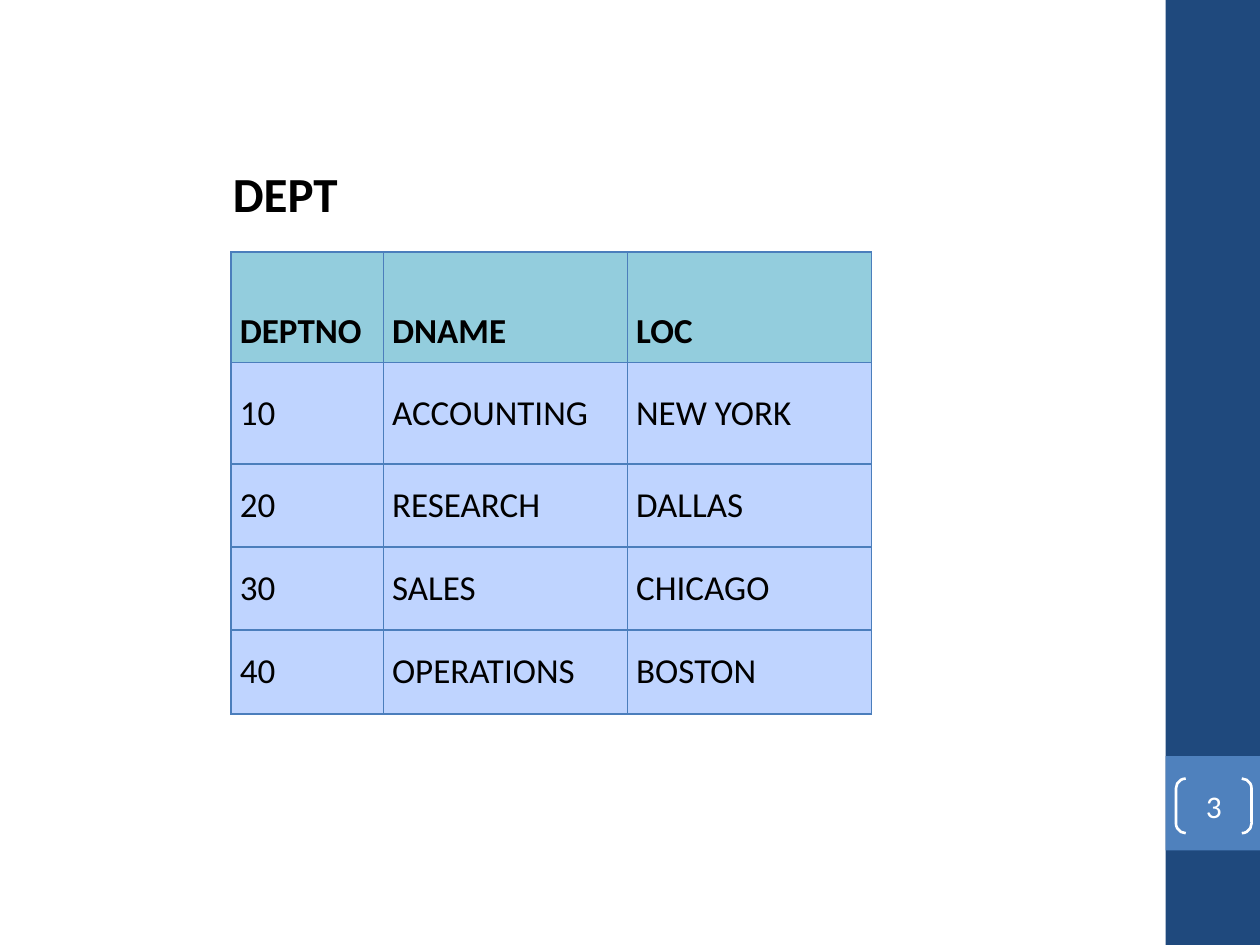
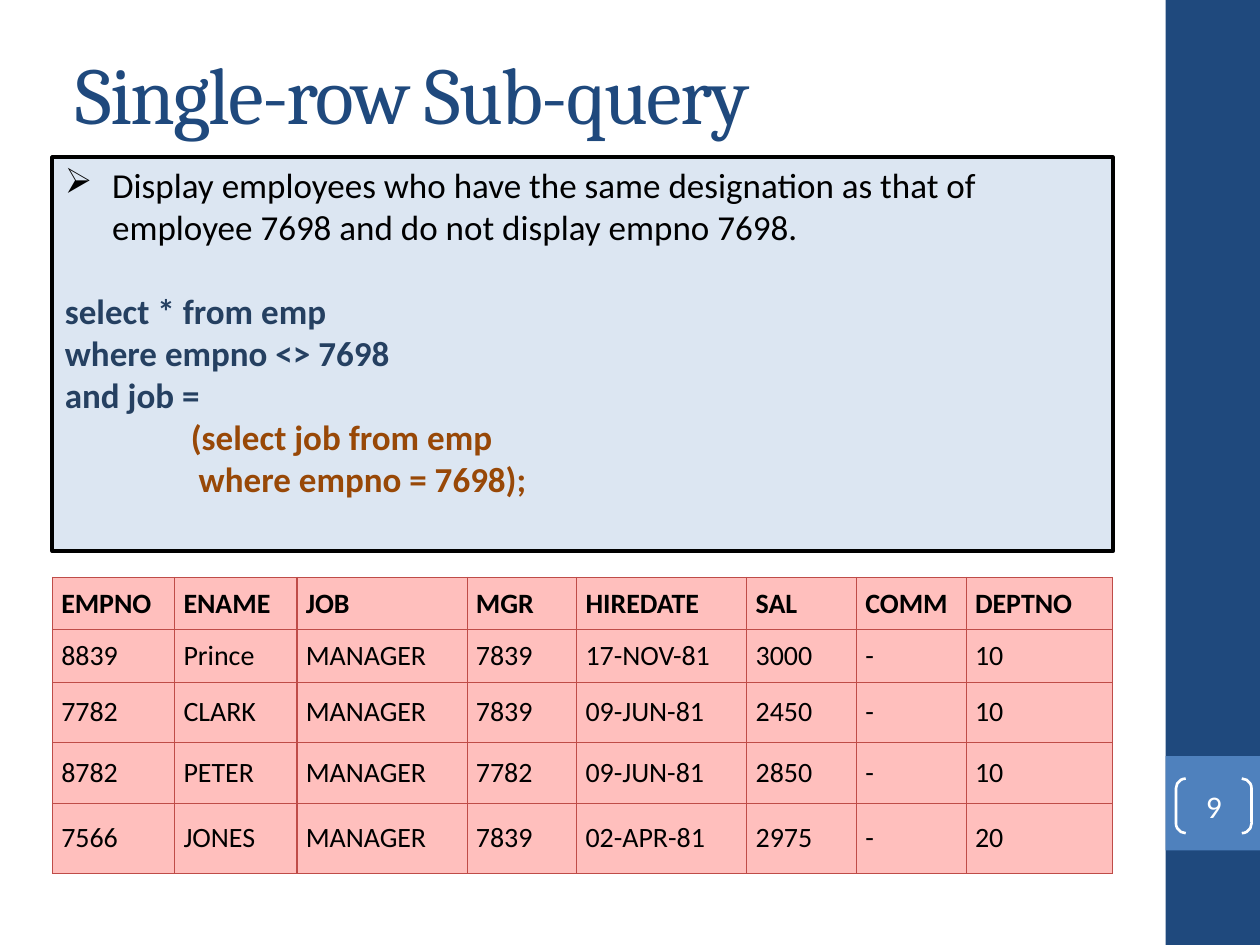
from lxml.etree import SubElement
from pptx import Presentation
from pptx.dml.color import RGBColor
from pptx.enum.shapes import MSO_SHAPE as Shape
from pptx.enum.text import MSO_ANCHOR as Anchor, PP_ALIGN as Align
from pptx.oxml.ns import qn
from pptx.util import Inches, Pt

COLORS = {
    "navy": "1F497D", "blue": "4F81BD", "white": "FFFFFF", "black": "000000",
    "panel": "DCE6F2", "query": "254061", "subquery": "984807",
    "dept_header": "93CDDD", "dept_body": "BFD4FF", "dept_line": "4B7EBC",
    "emp_body": "FFBFBD", "emp_line": "BF4C48",
}
COLUMNS, ROWS = 120, 90
WIDTH, HEIGHT = Inches(10), Inches(7.5)

DEPT = [
    ["DEPTNO", "DNAME", "LOC"],
    ["10", "ACCOUNTING", "NEW YORK"],
    ["20", "RESEARCH", "DALLAS"],
    ["30", "SALES", "CHICAGO"],
    ["40", "OPERATIONS", "BOSTON"],
]
MANAGERS = [
    ["EMPNO", "ENAME", "JOB", "MGR", "HIREDATE", "SAL", "COMM", "DEPTNO"],
    ["8839", "Prince", "MANAGER", "7839", "17-NOV-81", "3000", "-", "10"],
    ["7782", "CLARK", "MANAGER", "7839", "09-JUN-81", "2450", "-", "10"],
    ["8782", "PETER", "MANAGER", "7782", "09-JUN-81", "2850", "-", "10"],
    ["7566", "JONES", "MANAGER", "7839", "02-APR-81", "2975", "-", "20"],
]


def across(columns):
    return round(WIDTH * columns / COLUMNS)


def down(rows):
    return round(HEIGHT * rows / ROWS)


def assign(target, values):
    for name, value in values.items():
        setattr(target, name, value)


class SlideBuilder:
    def __init__(self):
        self.deck = Presentation()
        assign(self.deck, {"slide_width": WIDTH, "slide_height": HEIGHT})
        self.page = None

    def color(self, name):
        return RGBColor.from_string(COLORS[name])

    def place(self, left, top, width, height):
        return across(left), down(top), across(width), down(height)

    def start_page(self, number):
        self.page = self.deck.slides.add_slide(self.deck.slide_layouts[6])
        self.shape((111, 0, 9, 90), fill="navy")
        self.shape((111, 72, 9, 9), fill="blue")
        badge = self.shape((112, 74.15, 7.2, 5.2), Shape.DOUBLE_BRACKET,
                           line="white", weight=1.5)
        badge.adjustments[0] = 0.179
        assign(badge.text_frame, {
            "margin_left": 0, "margin_right": 0, "margin_top": 0,
            "margin_bottom": 0, "vertical_anchor": Anchor.MIDDLE})
        para = badge.text_frame.paragraphs[0]
        para.alignment = Align.CENTER
        self.span(para, number, "white", size=Pt(18))

    def shape(self, area, kind=Shape.RECTANGLE, fill=None, line=None, weight=1):
        box = self.page.shapes.add_shape(kind, *self.place(*area))
        box.shadow.inherit = False
        for paint, name in ((box.fill, fill), (box.line.fill, line)):
            if name:
                paint.solid()
                paint.fore_color.rgb = self.color(name)
            else:
                paint.background()
        if line:
            box.line.width = Pt(weight)
        return box

    def span(self, para, text, color="black", **font):
        span = para.add_run()
        span.text = text
        assign(span.font, {"name": "Calibri", "bold": False} | font)
        span.font.color.rgb = self.color(color)
        return span

    def text(self, area, text, color="black", anchor=Anchor.TOP, wrap=True, **font):
        box = self.page.shapes.add_textbox(*self.place(*area))
        assign(box.text_frame, {"word_wrap": wrap, "vertical_anchor": anchor})
        return self.span(box.text_frame.paragraphs[0], text, color, **font)

    def title(self, text):
        span = self.text((6, 3.6, 100, 10.4), text, "navy", Anchor.MIDDLE,
                         name="Cambria", size=Pt(46))
        span.font._element.set("spc", "-100")

    def bullet(self, para, symbol, indent):
        properties = para._p.get_or_add_pPr()
        properties.set("marL", str(indent))
        properties.set("indent", str(-indent))
        SubElement(properties, qn("a:buChar"), char=symbol)

    def query_panel(self, area, task, query):
        box = self.shape(area, fill="panel", line="black", weight=2.25)
        frame = box.text_frame
        assign(frame, {"word_wrap": True, "vertical_anchor": Anchor.TOP})
        para = frame.paragraphs[0]
        para.alignment = Align.LEFT
        self.bullet(para, "➢", across(4.5))
        self.span(para, task, size=Pt(20))
        for position, (line, color, indent) in enumerate(query):
            para = frame.add_paragraph()
            assign(para, {"alignment": Align.LEFT,
                          "space_before": Pt(0 if position else 24)})
            para._p.get_or_add_pPr().set("marL", str(across(indent)))
            self.span(para, line, color, size=Pt(20), bold=True)

    def borders(self, cell, color):
        properties = cell._tc.get_or_add_tcPr()
        for side in ("lnL", "lnR", "lnT", "lnB"):
            edge = SubElement(properties, qn(f"a:{side}"), w=str(Pt(0.75)))
            paint = SubElement(edge, qn("a:solidFill"))
            SubElement(paint, qn("a:srgbClr"), val=COLORS[color])

    def table(self, left, top, widths, heights, records, size, header, body, line):
        area = self.place(left, top, sum(widths), sum(heights))
        table = self.page.shapes.add_table(len(heights), len(widths), *area).table
        assign(table, {"first_row": False, "horz_banding": False})
        for column, width in zip(table.columns, widths):
            column.width = across(width)
        for index, (row, height, record) in enumerate(
                zip(table.rows, heights, records)):
            row.height = down(height)
            is_header = index == 0
            margin = Inches(0.07 if is_header else 0.03)
            layout = {
                "margin_left": Inches(0.07), "margin_right": Inches(0.07),
                "margin_top": margin, "margin_bottom": margin,
                "vertical_anchor": Anchor.BOTTOM if is_header else Anchor.MIDDLE}
            for cell, value in zip(row.cells, record):
                assign(cell, layout)
                self.borders(cell, line)
                cell.fill.solid()
                cell.fill.fore_color.rgb = self.color(header if is_header else body)
                self.span(cell.text_frame.paragraphs[0], value,
                          size=Pt(size), bold=is_header)


def main():
    builder = SlideBuilder()

    builder.start_page("3")
    builder.text((21, 15, 12.5, 6.9), "DEPT", wrap=False, size=Pt(28), bold=True)
    builder.table(22, 24, [14.5, 23.25, 23.25], [10.5, 9.7, 7.9, 7.9, 8], DEPT, 20,
                  "dept_header", "dept_body", "dept_line")

    builder.start_page("9")
    builder.title("Single-row Sub-query")
    builder.query_panel(
        (5, 15, 101, 37.5),
        "Display employees who have the same designation as that of "
        "employee 7698 and do not display empno 7698.",
        [("select * from emp", "query", 0),
         ("where empno <> 7698", "query", 0),
         ("and job =", "query", 0),
         ("(select job from emp", "subquery", 12),
         ("where empno = 7698);", "subquery", 12.75)])
    builder.table(5, 55, [11.65, 11.65, 16.2, 10.45, 16.2, 10.45, 10.45, 13.95],
                  [4.95, 5.05, 5.7, 5.8, 6.7], MANAGERS, 16,
                  "emp_body", "emp_body", "emp_line")

    builder.deck.save("out.pptx")


if __name__ == "__main__":
    main()
